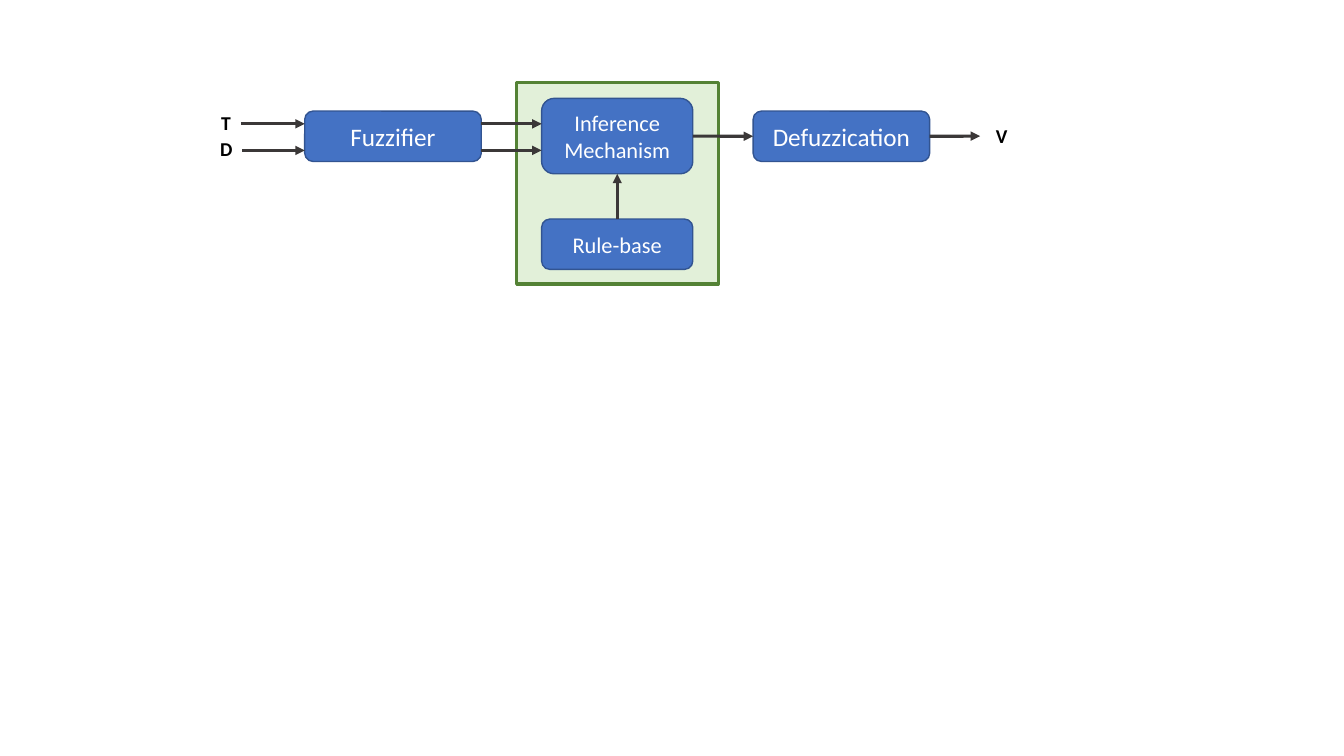
"""Build a slide with the block diagram of a fuzzy controller."""
from lxml import etree
from pptx import Presentation
from pptx.dml.color import RGBColor
from pptx.enum.shapes import MSO_CONNECTOR, MSO_SHAPE
from pptx.enum.text import MSO_ANCHOR, MSO_AUTO_SIZE, PP_ALIGN
from pptx.oxml.ns import qn
from pptx.util import Cm, Pt

STRAIGHT = MSO_CONNECTOR.STRAIGHT
RECTANGLE = MSO_SHAPE.RECTANGLE
ROUNDED = MSO_SHAPE.ROUNDED_RECTANGLE
MIDDLE = MSO_ANCHOR.MIDDLE
FIT_SHAPE = MSO_AUTO_SIZE.SHAPE_TO_FIT_TEXT
CENTER = PP_ALIGN.CENTER
TOP, LEFT, BOTTOM, RIGHT = range(4)


def paint(color_format, hex_color):
    color_format.rgb = RGBColor.from_string(hex_color)


def write(shape, text, size, hex_color, bold=False):
    shape.text_frame.text = text
    for paragraph in shape.text_frame.paragraphs:
        paragraph.alignment = CENTER
        for run in paragraph.runs:
            run.font.name = "Calibri"
            run.font.size = Pt(size)
            run.font.bold = bold
            paint(run.font.color, hex_color)


presentation = Presentation()
presentation.slide_width = Cm(33.87)
presentation.slide_height = Cm(19.05)
slide = presentation.slides.add_slide(presentation.slide_layouts[6])

block_style = (ROUNDED, "4472C4", "325491", 1)
blocks = {}
for text, size, left, top, width, height, style in [
    ("", 16, 13.02, 2.08, 5.08, 5.08, (RECTANGLE, "E2F0D9", "548235", 2.25)),
    ("Fuzzifier", 18, 7.68, 2.8, 4.45, 1.27, block_style),
    ("Defuzzication", 18, 18.98, 2.8, 4.45, 1.27, block_style),
    ("Inference\nMechanism", 16, 13.65, 2.48, 3.81, 1.9, block_style),
    ("Rule-base", 16, 13.65, 5.52, 3.81, 1.27, block_style),
]:
    preset, fill, line, line_width = style
    block = slide.shapes.add_shape(preset, Cm(left), Cm(top), Cm(width), Cm(height))
    block.shadow.inherit = False
    block.fill.solid()
    paint(block.fill.fore_color, fill)
    paint(block.line.color, line)
    block.line.width = Pt(line_width)
    block.text_frame.word_wrap = True
    block.text_frame.vertical_anchor = MIDDLE
    write(block, text, size, "FFFFFF")
    blocks[text] = block

upper, middle, lower = 3.12, 3.43, 3.79
arrows = []
for start_x, start_y, end_x, end_y in [
    (15.56, 5.52, 15.56, 4.38),
    (17.46, middle, 18.98, middle),
    (23.43, middle, 24.7, middle),
    (12.13, upper, 13.65, upper),
    (12.13, lower, 13.65, lower),
    (6.07, upper, 7.68, upper),
    (6.1, lower, 7.68, lower),
]:
    arrow = slide.shapes.add_connector(
        STRAIGHT, Cm(start_x), Cm(start_y), Cm(end_x), Cm(end_y))
    paint(arrow.line.color, "3B3838")
    arrow.line.width = Pt(2.25)
    etree.SubElement(arrow.line._get_or_add_ln(), qn("a:tailEnd"), type="triangle")
    etree.SubElement(arrow._element.spPr, qn("a:effectLst"))
    arrows.append(arrow)

inference = blocks["Inference\nMechanism"]
rule_arrow, inference_arrow, output_arrow = arrows[:3]
rule_arrow.begin_connect(blocks["Rule-base"], TOP)
rule_arrow.end_connect(inference, BOTTOM)
inference_arrow.begin_connect(inference, RIGHT)
inference_arrow.end_connect(blocks["Defuzzication"], LEFT)
output_arrow.begin_connect(blocks["Defuzzication"], RIGHT)

for text, left, top, width in [
    ("T", 5.31, 2.67, 0.77),
    ("D", 5.29, 3.33, 0.83),
    ("V", 24.84, 3.0, 0.81),
]:
    label = slide.shapes.add_textbox(Cm(left), Cm(top), Cm(width), Cm(0.86))
    label.text_frame.word_wrap = False
    label.text_frame.auto_size = FIT_SHAPE
    write(label, text, 14, "000000", bold=True)

presentation.save("out.pptx")
